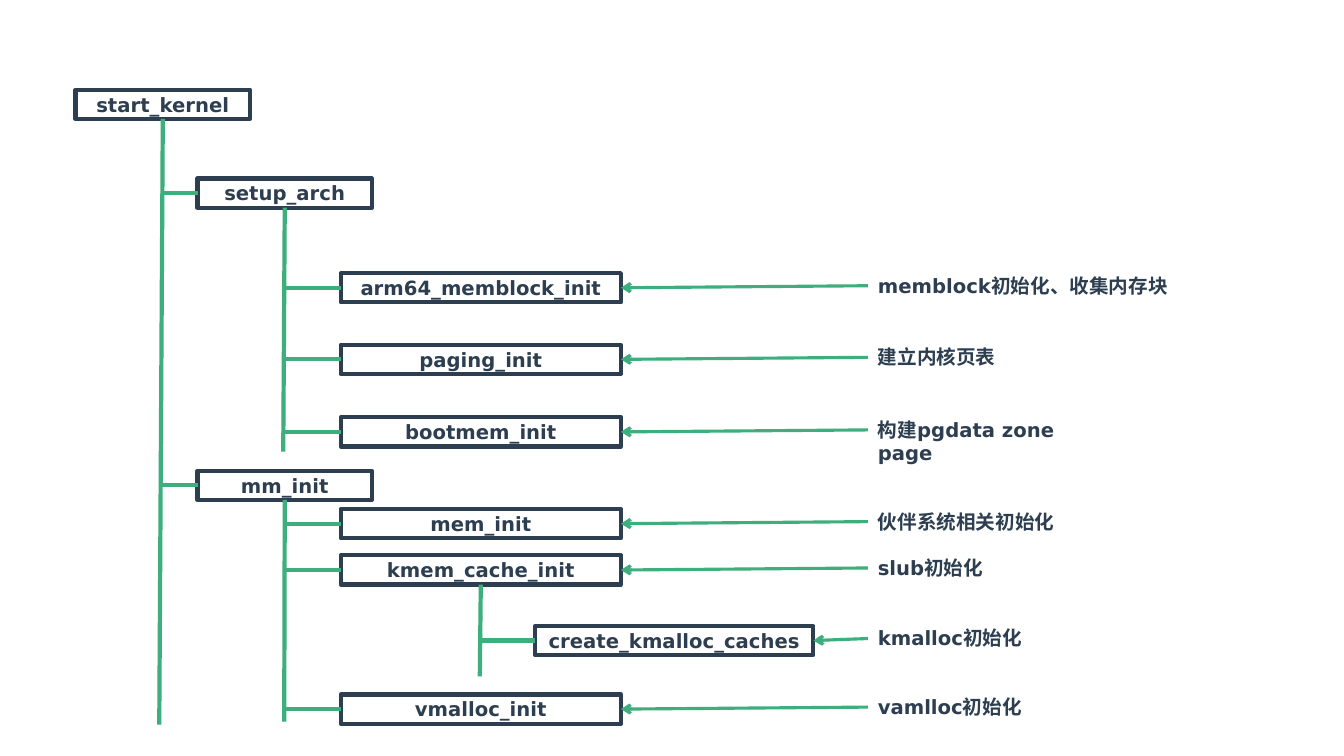
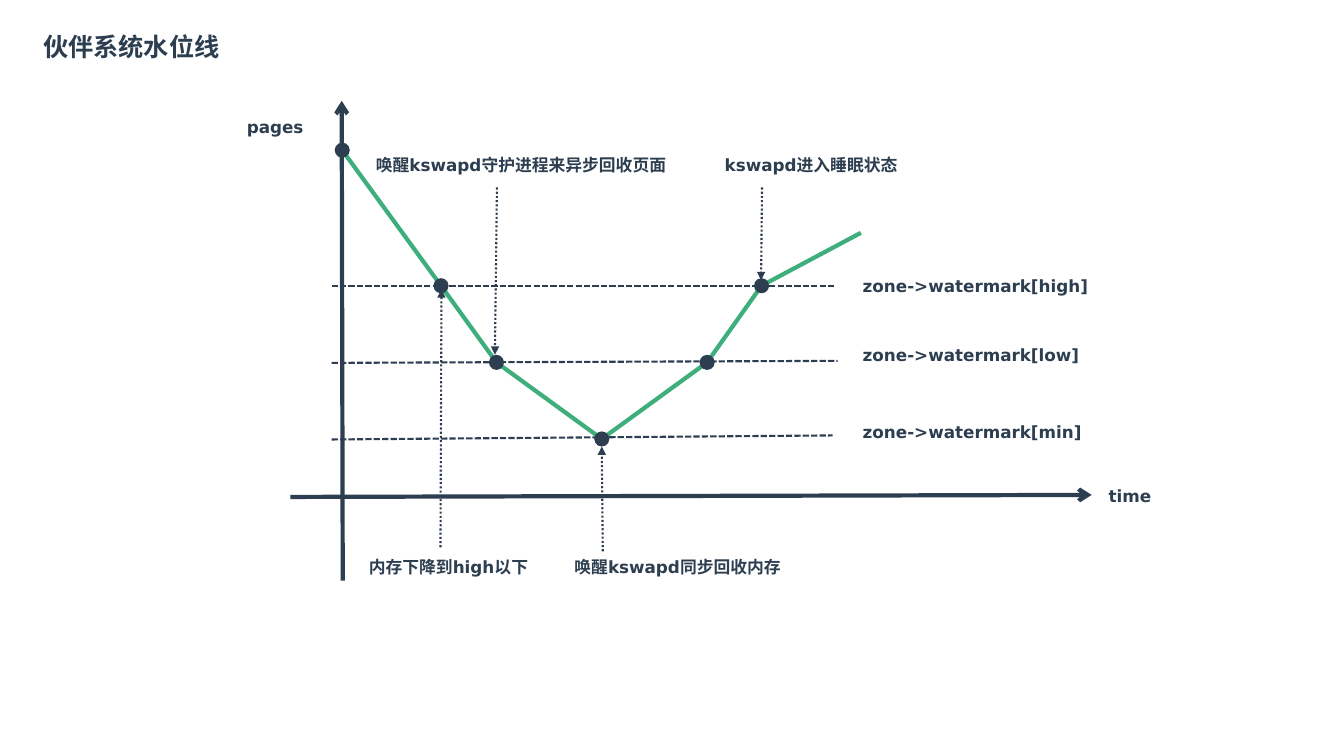
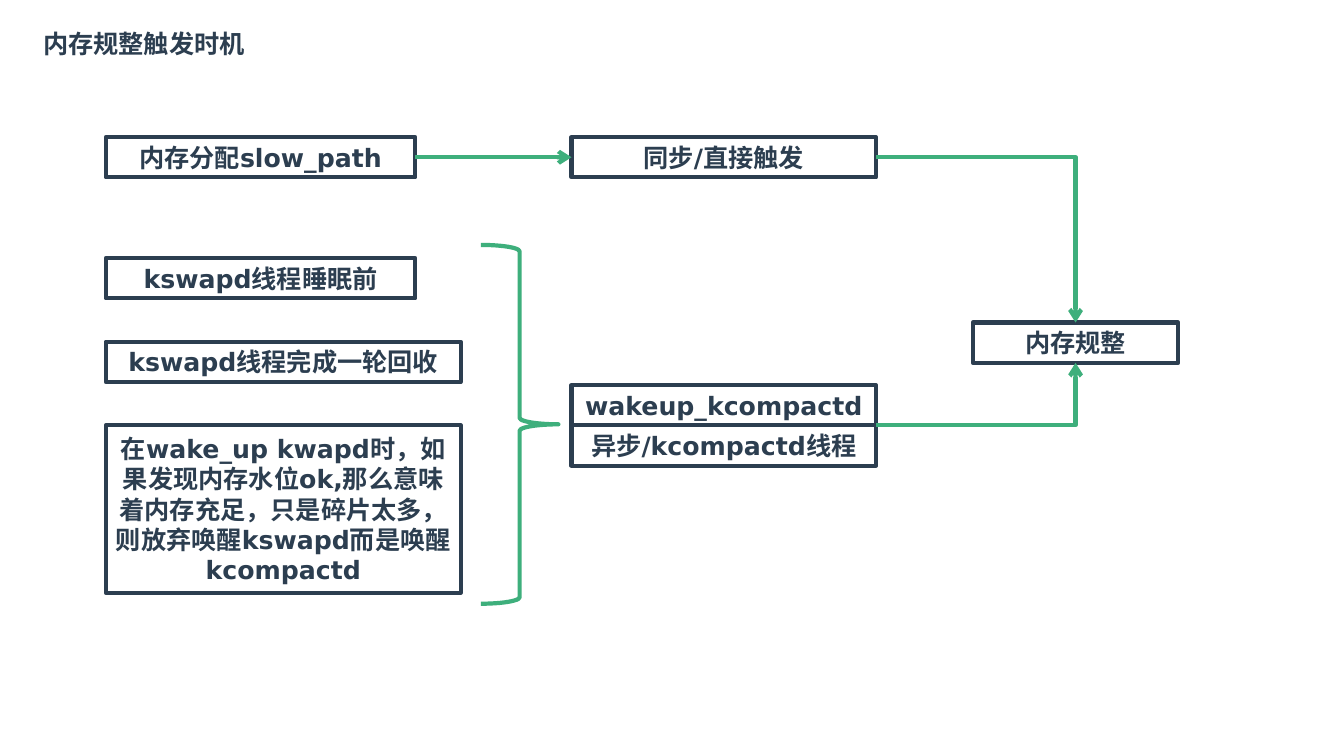
from itertools import pairwise

from lxml import etree
from pptx import Presentation
from pptx import util as u
from pptx.dml.color import RGBColor
from pptx.enum import dml, shapes, text
from pptx.oxml import ns

# Shared style
INK = RGBColor(0x2C, 0x3E, 0x50)
GREEN = RGBColor(0x3E, 0xAF, 0x7C)
FONT = "DejaVu Sans"
RECT = shapes.MSO_SHAPE.RECTANGLE
DASH = dml.MSO_LINE.SQUARE_DOT
DOT = dml.MSO_LINE.ROUND_DOT

# Grid: every length below counts cells of a tenth of an inch
CELL = u.Inches(0.1)
COLUMNS, ROWS = 133.33, 75

# Connection sites of a rectangle
TOP, LEFT, BOTTOM, RIGHT = range(4)


def cells(*lengths):
    return [u.Emu(round(length * CELL)) for length in lengths]


def write(frame, words, size=14, align=text.PP_ALIGN.LEFT,
          anchor=text.MSO_ANCHOR.TOP, grow=False):
    frame.word_wrap = True
    frame.vertical_anchor = anchor
    frame.auto_size = (text.MSO_AUTO_SIZE.SHAPE_TO_FIT_TEXT if grow
                       else text.MSO_AUTO_SIZE.NONE)
    paragraph = frame.paragraphs[0]
    paragraph.alignment = align
    run = paragraph.add_run()
    run.text = words
    run.font.name, run.font.size, run.font.bold = FONT, u.Pt(size), True
    run.font.color.rgb = INK


def label(slide, words, x, y, w, h=3, size=12):
    area = slide.shapes.add_textbox(*cells(x, y, w, h))
    write(area.text_frame, words, size=size, grow=True)


def title(slide, words, y):
    label(slide, words, 3.3, y, 30, 4, size=18)


def outline(parent, kind, x, y, w, h, color):
    figure = parent.shapes.add_shape(kind, *cells(x, y, w, h))
    figure.shadow.inherit = False
    figure.fill.background()
    figure.line.color.rgb, figure.line.width = color, u.Pt(3)
    return figure


def box(parent, words, x, y, w, h, size):
    frame = outline(parent, RECT, x, y, w, h, INK)
    write(frame.text_frame, words, size=size, align=text.PP_ALIGN.CENTER,
          anchor=text.MSO_ANCHOR.MIDDLE)
    return frame


def dot(slide, x, y, size=1.5):
    mark = slide.shapes.add_shape(
        shapes.MSO_SHAPE.OVAL, *cells(x - size / 2, y - size / 2, size, size))
    mark.shadow.inherit = False
    mark.fill.solid()
    mark.fill.fore_color.rgb = INK
    mark.line.fill.background()


def style_line(link, color, width, dash, head):
    link.line.color.rgb, link.line.width = color, u.Pt(width)
    if dash:
        link.line.dash_style = dash
    if head:
        etree.SubElement(link.line._get_or_add_ln(), ns.qn("a:tailEnd"), type=head)
    etree.SubElement(link._element.spPr, ns.qn("a:effectLst"))


def line(slide, start, end, color=GREEN, width=3, dash=None, head=None):
    link = slide.shapes.add_connector(
        shapes.MSO_CONNECTOR.STRAIGHT, *cells(*start, *end))
    style_line(link, color, width, dash, head)


def join(slide, source, source_site, target, target_site, bent=False):
    """Arrow glued to two shapes, straight or with one corner."""
    kind = shapes.MSO_CONNECTOR.ELBOW if bent else shapes.MSO_CONNECTOR.STRAIGHT
    link = slide.shapes.add_connector(kind, 0, 0, 0, 0)
    link.begin_connect(source, source_site)
    link.end_connect(target, target_site)
    if bent:
        link._element.spPr.find(ns.qn("a:prstGeom")).set("prst", "bentConnector2")
    style_line(link, GREEN, 3, None, "arrow")


# Call tree: level columns, box widths, and the column of notes
LEVEL_X = [7.5, 19.6, 33.8, 53.1]
LEVEL_W = [17.3, 17.3, 27.8, 27.6]
BOX_H = 2.9
NOTE_X = 86.1

# level, function, row, foot of its trunk, note, width of note
CALLS = [
    (0, "start_kernel", 8.9, (15.8, 71.9), None, 0),
    (1, "setup_arch", 17.7, (28.1, 44.8), None, 0),
    (2, "arm64_memblock_init", 27.1, None, "memblock初始化、收集内存块", 30.8),
    (2, "paging_init", 34.2, None, "建立内核页表", 14),
    (2, "bootmem_init", 41.4, None, "构建pgdata zone page", 25.5),
    (1, "mm_init", 46.7, (28.2, 71.6), None, 0),
    (2, "mem_init", 50.5, None, "伙伴系统相关初始化", 20),
    (2, "kmem_cache_init", 55.1, (47.6, 67.1), "slub初始化", 12.5),
    (3, "create_kmalloc_caches", 62.1, None, "kmalloc初始化", 16.3),
    (2, "vmalloc_init", 68.9, None, "vamlloc初始化", 16.3),
]


def call_tree(slide):
    trunks = {}
    for level, function, y, foot, note, note_w in CALLS:
        x, w, middle = LEVEL_X[level], LEVEL_W[level], y + BOX_H / 2
        box(slide, function, x, y, w, BOX_H, 14)
        # Branch from the caller's trunk
        if level:
            (top_x, top_y), (foot_x, foot_y) = trunks[level - 1]
            share = (middle - top_y) / (foot_y - top_y)
            line(slide, (top_x + share * (foot_x - top_x), middle), (x, middle))
        # Trunk for the functions called from here
        if foot:
            trunks[level] = (x + w / 2, y + BOX_H), foot
            line(slide, *trunks[level])
        if note:
            label(slide, note, NOTE_X, y - 0.45, note_w, 3.4, size=14)
            line(slide, (NOTE_X, middle - 0.2), (x + w, middle),
                 width=2.25, head="arrow")


# Watermark levels
HIGH, LOW, MIN = 28.35, 35.95, 43.55


def watermark_curve(slide):
    title(slide, "伙伴系统水位线", 2.6)

    # Axes
    line(slide, (28.8, 49.3), (108.3, 49.1), INK, head="arrow")
    line(slide, (34, 57.6), (33.9, 10), INK, head="arrow")
    label(slide, "pages", 23.5, 11.1, 8)
    label(slide, "time", 109, 47.7, 7)

    # Watermark lines
    for name, left_y, right_x, right_y, label_y in [
            ("high", 28.4, 82.7, 28.4, 26.9),
            ("low", 36, 83.1, 35.8, 33.7),
            ("min", 43.6, 82.6, 43.2, 41.3)]:
        line(slide, (32.9, left_y), (right_x, right_y), INK, 1.5, DASH)
        label(slide, f"zone->watermark[{name}]", 84.6, label_y, 25)

    # Free pages over time
    marks = [(33.95, 14.9), (43.75, HIGH), (49.25, LOW),
             (59.7, MIN), (70.15, LOW), (75.55, HIGH)]
    for start, end in pairwise(marks + [(85.4, 23.1)]):
        line(slide, start, end)
    for mark in marks:
        dot(slide, *mark)

    # Events
    for words, x, y, w, start, end in [
            ("内存下降到high以下", 35.6, 54.7, 17.9, (43.7, 54.3), (43.8, 28.7)),
            ("唤醒kswapd守护进程来异步回收页面", 36.3, 14.9, 31.2,
             (49.3, 18.6), (49.1, 35.2)),
            ("唤醒kswapd同步回收内存", 56, 54.7, 22.5, (59.8, 54.7), (59.7, 44.3)),
            ("kswapd进入睡眠状态", 70.9, 14.9, 19.2, (75.6, 18.6), (75.5, 27.8))]:
        label(slide, words, x, y, w)
        line(slide, start, end, INK, 1.5, DOT, "triangle")


def compaction_triggers(slide):
    title(slide, "内存规整触发时机", 2.3)
    cause_x, trigger_x, trigger_w, row_h = 10.5, 56.7, 30.2, 4

    # Causes
    slow_path, *_ = [
        box(slide, words, cause_x, y, w, h, 18)
        for words, y, w, h in [
            ("内存分配slow_path", 13.6, 30.7, row_h),
            ("kswapd线程睡眠前", 25.6, 30.7, row_h),
            ("kswapd线程完成一轮回收", 33.9, 35.2, row_h),
            ("在wake_up kwapd时，如果发现内存水位ok,那么意味着内存充足，"
             "只是碎片太多，则放弃唤醒kswapd而是唤醒kcompactd", 42.2, 35.2, 16.6)]]
    outline(slide, shapes.MSO_SHAPE.RIGHT_BRACE, 47.7, 24.3, 7.7, 35.6, GREEN)

    # Triggers
    direct = box(slide, "同步/直接触发", trigger_x, 13.6, trigger_w, row_h, 18)
    background = slide.shapes.add_group_shape()
    for row, words in enumerate(["wakeup_kcompactd", "异步/kcompactd线程"]):
        box(background, words, trigger_x, 38.2 + row * row_h, trigger_w, row_h, 18)

    # Result
    compaction = box(slide, "内存规整", 96.5, 32, 20.4, row_h, 18)
    join(slide, slow_path, RIGHT, direct, LEFT)
    join(slide, direct, RIGHT, compaction, TOP, bent=True)
    join(slide, background, RIGHT, compaction, BOTTOM, bent=True)


def main():
    deck = Presentation()
    deck.slide_width, deck.slide_height = cells(COLUMNS, ROWS)
    blank = deck.slide_layouts[6]
    for build in (call_tree, watermark_curve, compaction_triggers):
        build(deck.slides.add_slide(blank))
    deck.save("out.pptx")


if __name__ == "__main__":
    main()
